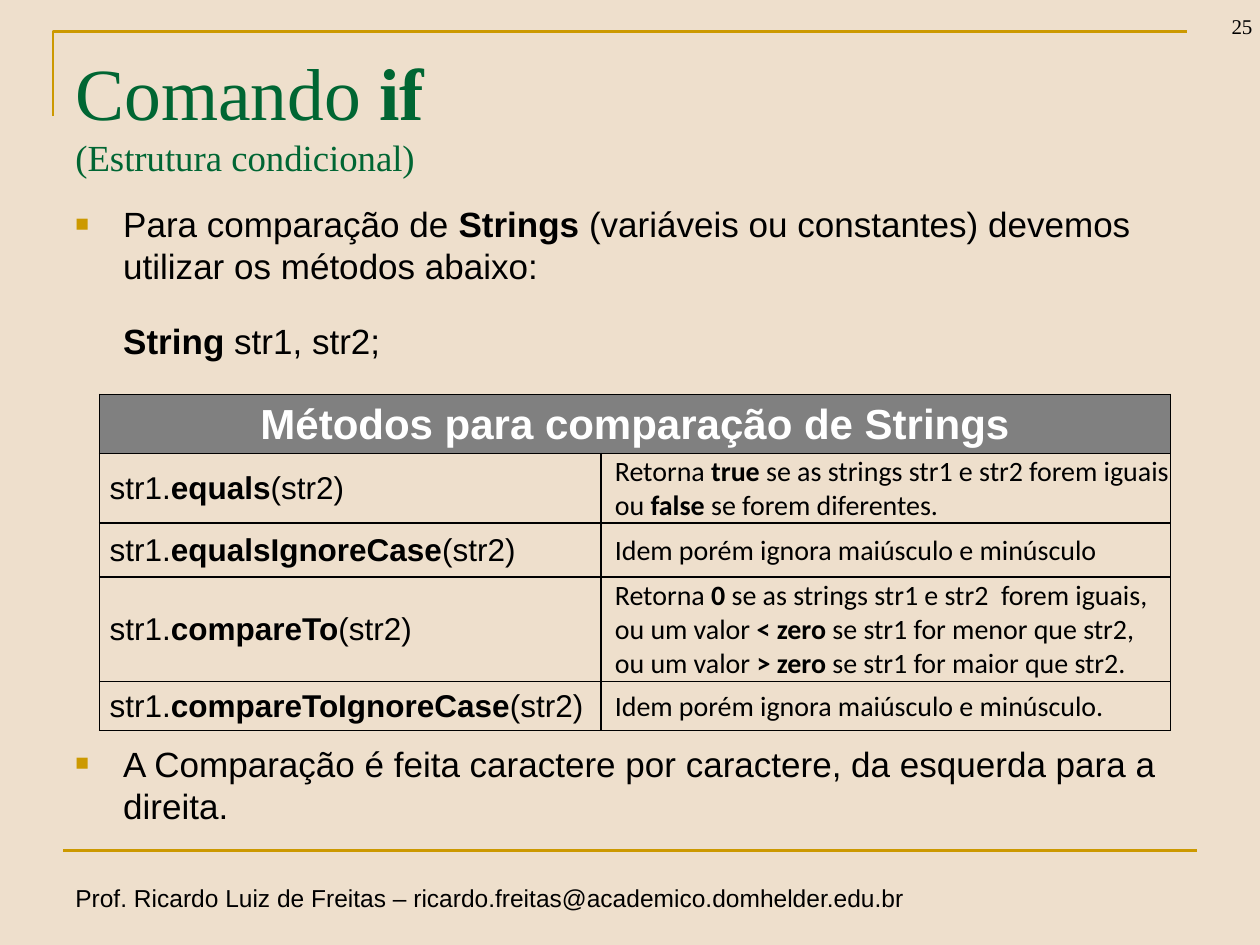
"""Builds the slide on comparing strings with the if command."""
from pptx import Presentation, util as u
from pptx.dml.color import RGBColor
from pptx.enum import shapes, text
from pptx.oxml import ns
from lxml import etree

SAND, GOLD, GREEN = "EEDFCC", "CC9900", "006633"
BLACK, WHITE, GRAY = "000000", "FFFFFF", "808080"
SANS, SERIF, TABLE_FONT = "Arial", "Times New Roman", "Calibri"


def color(value):
    return RGBColor.from_string(value)


def add_element(parent, tag, **attributes):
    return etree.SubElement(parent, ns.qn(tag), attributes)


class SlideBuilder:
    def __init__(self, deck):
        self.page = deck.slides.add_slide(deck.slide_layouts[6])
        background = self.page.background.fill
        background.solid()
        background.fore_color.rgb = color(SAND)

    def add_spans(self, para, wording, size, font=SANS, ink=BLACK):
        for index, piece in enumerate(wording.split("**")):
            if piece:
                span = para.add_run()
                span.text = piece
                span.font.size = u.Pt(size)
                span.font.name = font
                span.font.bold = index % 2 == 1
                span.font.color.rgb = color(ink)

    def text(self, left, top, width, height, lines, font=SANS, ink=BLACK,
             anchor=text.MSO_ANCHOR.TOP):
        box = self.page.shapes.add_textbox(*map(u.Inches, (left, top, width, height)))
        frame = box.text_frame
        frame.word_wrap = True
        frame.vertical_anchor = anchor
        for index, (wording, size) in enumerate(lines):
            para = frame.add_paragraph() if index else frame.paragraphs[0]
            self.add_spans(para, wording, size, font, ink)
        return frame

    def bullet(self, top, wording):
        frame = self.text(0.5, top, 9, 0.75, [(wording, 20)])
        properties = frame.paragraphs[0]._p.get_or_add_pPr()
        indent = u.Inches(0.38)
        properties.set("marL", str(indent))
        properties.set("indent", str(-indent))
        add_element(add_element(properties, "a:buClr"), "a:srgbClr", val=GOLD)
        add_element(properties, "a:buSzPct", val="65000")
        add_element(properties, "a:buFont", typeface=SANS)
        add_element(properties, "a:buChar", char="■")

    def stroke(self, shape):
        shape.line.color.rgb = color(GOLD)
        shape.line.width = u.Pt(1.5)

    def rule(self, left, right, top):
        line = self.page.shapes.add_connector(
            shapes.MSO_CONNECTOR.STRAIGHT, *map(u.Inches, (left, top, right, top)))
        self.stroke(line)
        add_element(line._element.spPr, "a:effectLst")

    def corner(self, left, top, right, bottom):
        points = [(u.Inches(x), u.Inches(y)) for x, y in ((left, top), (right, top))]
        outline = self.page.shapes.build_freeform(u.Inches(left), u.Inches(bottom))
        outline.add_line_segments(points, close=False)
        shape = outline.convert_to_shape()
        shape.fill.background()
        shape.shadow.inherit = False
        self.stroke(shape)

    def cell(self, cell, wording, size, font, ink=BLACK, fill=None, indent=0.1):
        properties = cell._tc.get_or_add_tcPr()
        for side in "LRTB":
            edge = add_element(properties, f"a:ln{side}", w=str(u.Pt(1)))
            add_element(add_element(edge, "a:solidFill"), "a:srgbClr", val=BLACK)
        if fill:
            cell.fill.solid()
            cell.fill.fore_color.rgb = color(fill)
        else:
            cell.fill.background()
        cell.vertical_anchor = text.MSO_ANCHOR.MIDDLE
        cell.margin_left = u.Inches(indent)
        cell.margin_right = cell.margin_top = u.Inches(0.01)
        cell.margin_bottom = 0
        self.add_spans(cell.text_frame.paragraphs[0], wording, size, font, ink)

    def table(self, left, top, widths, heights, heading, rows):
        frame = self.page.shapes.add_table(
            len(heights), len(widths),
            *map(u.Inches, (left, top, sum(widths), sum(heights))))
        table = frame.table
        table.first_row = table.horz_banding = False
        for column, width in zip(table.columns, widths):
            column.width = u.Inches(width)
        for row, height in zip(table.rows, heights):
            row.height = u.Inches(height)
        table.cell(0, 0).merge(table.cell(0, 1))
        self.cell(table.cell(0, 0), heading, 24, SANS, WHITE, GRAY, 0.01)
        self.cell(table.cell(0, 1), "", 24, SANS, WHITE, GRAY)
        table.cell(0, 0).text_frame.paragraphs[0].alignment = text.PP_ALIGN.CENTER
        for number, (method, meaning) in enumerate(rows, 1):
            self.cell(table.cell(number, 0), f"str1.**{method}**(str2)", 18, SANS,
                      indent=0.08)
            self.cell(table.cell(number, 1), meaning, 16, TABLE_FONT, indent=0.11)


def main():
    deck = Presentation()
    deck.slide_width, deck.slide_height = u.Inches(10), u.Inches(7.5)
    slide = SlideBuilder(deck)
    bottom = text.MSO_ANCHOR.BOTTOM

    slide.corner(0.42, 0.25, 9.42, 0.92)
    slide.rule(0.5, 9.5, 6.75)
    slide.text(0.5, 6.96, 6.86, 0.34, [
        ("Prof. Ricardo Luiz de Freitas – ricardo.freitas@academico.domhelder.edu.br", 14)])
    number = slide.text(9.25, 0, 0.75, 0.36, [("25", 12)], SERIF, anchor=bottom)
    number.margin_right = u.Inches(0.06)
    number.paragraphs[0].alignment = text.PP_ALIGN.RIGHT
    slide.text(0.5, 0.35, 9, 1.12, [("Comando **if**", 42), ("(Estrutura condicional)", 21)],
               SERIF, GREEN, bottom)

    slide.bullet(1.56, "Para comparação de **Strings** (variáveis ou constantes) "
                       "devemos utilizar os métodos abaixo:")
    slide.text(0.88, 2.49, 4, 0.43, [("**String** str1, str2;", 20)])
    slide.table(0.79, 3.13, (3.98, 4.52), (0.47, 0.55, 0.43, 0.83, 0.39),
                "**Métodos para comparação de Strings**", [
        ("equals", "Retorna **true** se as strings str1 e str2 forem iguais "
                   "ou **false** se forem diferentes."),
        ("equalsIgnoreCase", "Idem porém ignora maiúsculo e minúsculo"),
        ("compareTo", "Retorna **0** se as strings str1 e str2  forem iguais, "
                      "ou um valor **< zero **se str1 for menor que str2, "
                      "ou um valor **> zero** se str1 for maior que str2."),
        ("compareToIgnoreCase", "Idem porém ignora maiúsculo e minúsculo."),
    ])
    slide.bullet(5.84, "A Comparação é feita caractere por caractere, "
                       "da esquerda para a direita.")
    deck.save("out.pptx")


if __name__ == "__main__":
    main()
